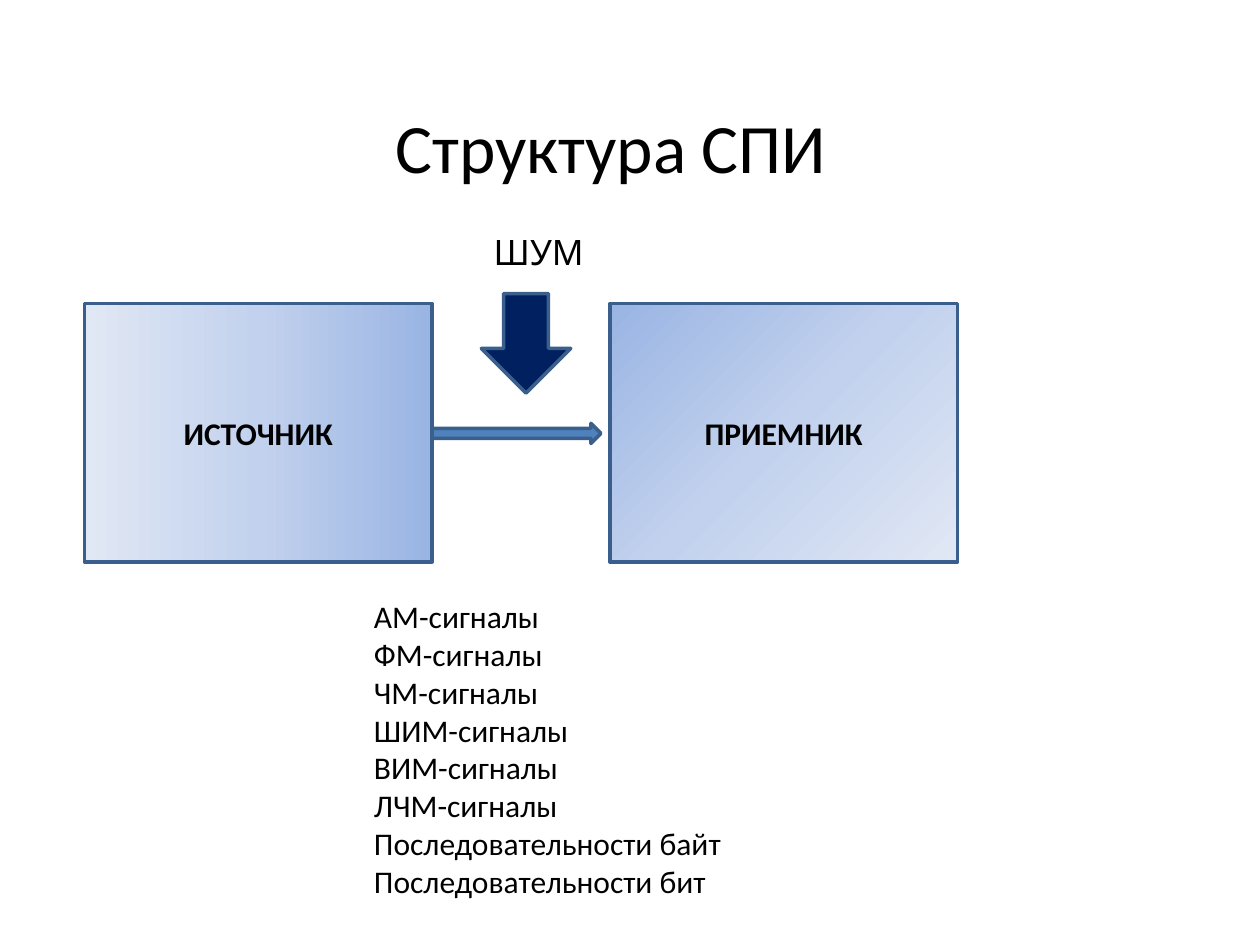
"""Build the slide showing the structure of an information transmission system."""
from lxml import etree
from pptx import Presentation
from pptx.dml.color import RGBColor
from pptx.enum import shapes, text
from pptx.oxml import ns
from pptx.util import Inches, Pt

SHAPE, ALIGN, ANCHOR = shapes.MSO_SHAPE, text.PP_ALIGN, text.MSO_ANCHOR
BLACK, OUTLINE = "000000", "3A5F8C"
STOPS = [(0, "9AB5E4"), (50, "C2D1ED"), (100, "E1E8F5")]
LINEAR = ("lin", {"ang": "10800000", "scaled": "0"}, None)
CORNER = ("path", {"path": "circle"}, {"r": "100000", "b": "100000"})
BLOCKS = [
    ("ИСТОЧНИК", 0.67, LINEAR),
    ("ПРИЕМНИК", 4.84, CORNER),
]
BLOCK_TOP, BLOCK_W, BLOCK_H = 2.41, 2.76, 2.05
ARROWS = [
    (SHAPE.RIGHT_ARROW, (3.43, 3.36, 1.34, 0.16), "4F81BD"),
    (SHAPE.DOWN_ARROW, (3.82, 2.33, 0.71, 0.79), "002060"),
]
SIGNALS = [
    "АМ-сигналы", "ФМ-сигналы", "ЧМ-сигналы", "ШИМ-сигналы", "ВИМ-сигналы",
    "ЛЧМ-сигналы", "Последовательности байт", "Последовательности бит",
]
TITLE_FONT = {"name": "Calibri", "size": Pt(39.6)}
BLOCK_FONT = {"name": "Calibri", "size": Pt(18), "bold": True}
NOISE_FONT = {"name": "Cabin", "size": Pt(20)}
LIST_FONT = {"name": "Calibri", "size": Pt(18)}


def rgb(value):
    """Turn a hex string into a colour."""
    return RGBColor.from_string(value)


def write(tf, lines, font, align):
    """Fill a text frame with one paragraph per line."""
    for i, line in enumerate(lines):
        p = tf.add_paragraph() if i else tf.paragraphs[0]
        p.alignment = align
        r = p.add_run()
        r.text = line
        r.font.color.rgb = rgb(BLACK)
        for key, value in font.items():
            setattr(r.font, key, value)


def add_label(s, box, lines, font, align=ALIGN.LEFT, **frame):
    """Add a text box with the given frame settings."""
    tf = s.shapes.add_textbox(*map(Inches, box)).text_frame
    for key, value in frame.items():
        setattr(tf, key, value)
    write(tf, lines, font, align)


def add_figure(s, kind, box, fill=BLACK):
    """Add an outlined preset shape."""
    sp = s.shapes.add_shape(kind, *map(Inches, box))
    sp.shadow.inherit = False
    sp.fill.solid()
    sp.fill.fore_color.rgb = rgb(fill)
    sp.line.color.rgb = rgb(OUTLINE)
    sp.line.width = Pt(2)
    return sp


def set_gradient(sp, shade):
    """Replace the solid fill with the three-stop gradient."""
    tag, attrs, focus = shade
    grad = etree.Element(ns.qn("a:gradFill"), rotWithShape="1")
    stops = etree.SubElement(grad, ns.qn("a:gsLst"))
    for pos, color in STOPS:
        stop = etree.SubElement(stops, ns.qn("a:gs"), pos=str(pos * 1000))
        etree.SubElement(stop, ns.qn("a:srgbClr"), val=color)
    direction = etree.SubElement(grad, ns.qn(f"a:{tag}"), attrs)
    if focus:
        etree.SubElement(direction, ns.qn("a:fillToRect"), focus)
    props = sp._element.spPr
    props.replace(props.find(ns.qn("a:solidFill")), grad)


def main():
    prs = Presentation()
    prs.slide_width, prs.slide_height = Inches(10), Inches(7.5)
    s = prs.slides.add_slide(prs.slide_layouts[6])
    add_label(s, (0.35, 0.76, 9, 0.79), ["Структура СПИ"], TITLE_FONT,
              ALIGN.CENTER, word_wrap=True, vertical_anchor=ANCHOR.MIDDLE)
    for name, left, shade in BLOCKS:
        sp = add_figure(s, SHAPE.RECTANGLE, (left, BLOCK_TOP, BLOCK_W, BLOCK_H))
        set_gradient(sp, shade)
        sp.text_frame.vertical_anchor = ANCHOR.MIDDLE
        write(sp.text_frame, [name], BLOCK_FONT, ALIGN.CENTER)
    for kind, box, fill in ARROWS:
        add_figure(s, kind, box, fill)
    grow = {"word_wrap": False, "auto_size": text.MSO_AUTO_SIZE.SHAPE_TO_FIT_TEXT}
    add_label(s, (3.82, 1.78, 1.02, 0.44), ["ШУМ"], NOISE_FONT, **grow)
    add_label(s, (2.87, 4.69, 3.23, 2.52), SIGNALS, LIST_FONT, **grow)
    prs.save("out.pptx")


if __name__ == "__main__":
    main()
